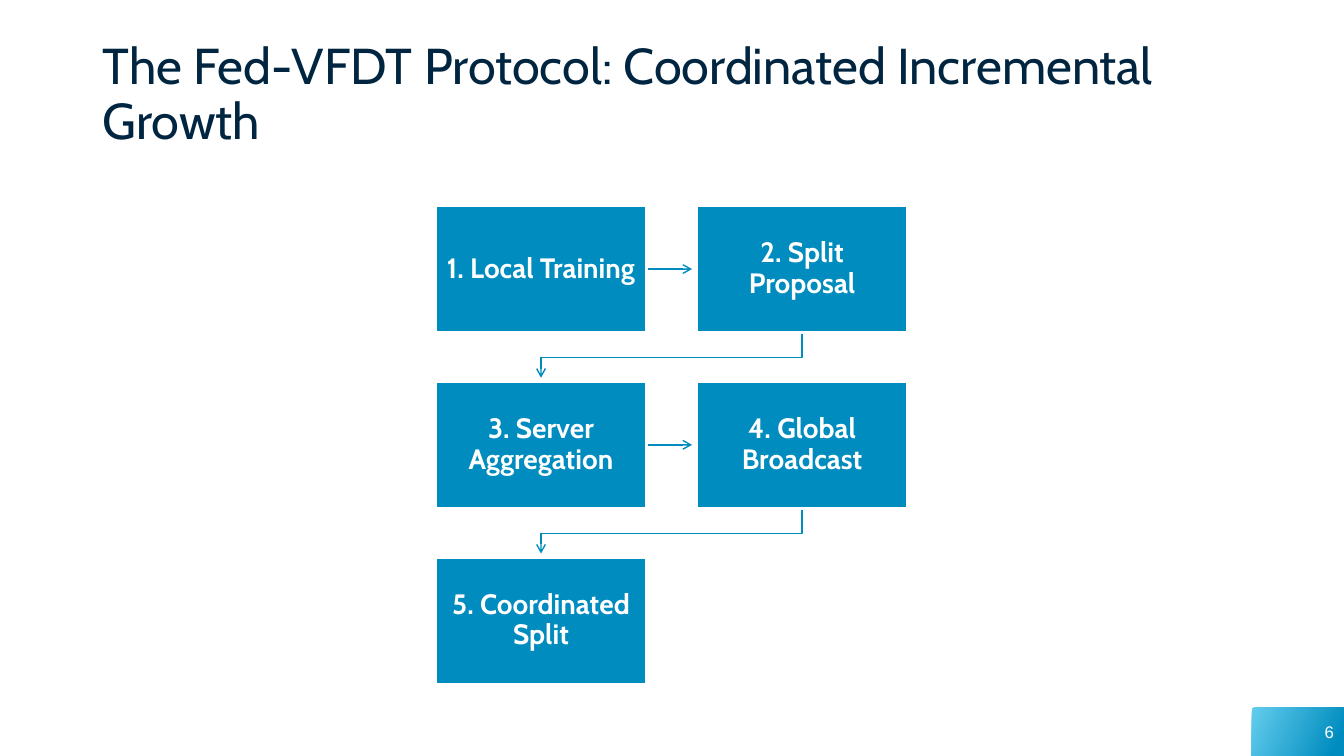
"""Build the slide on the five steps of the Fed-VFDT protocol."""
from pptx import Presentation
from pptx.dml.color import RGBColor
from pptx.enum.shapes import MSO_CONNECTOR as Link, MSO_SHAPE as Shape
from pptx.enum.text import MSO_ANCHOR as Anchor, MSO_AUTO_SIZE as Fit, PP_ALIGN as Align
from pptx.oxml.ns import qn
from pptx.util import Cm, Pt
from lxml.etree import SubElement

COLOURS = {"navy": "002540", "blue": "008CBE", "deep": "008CBF", "sky": "64CDED", "white": "FFFFFF"}
STEPS = ["1. Local Training", "2. Split Proposal", "3. Server Aggregation",
         "4. Global Broadcast", "5. Coordinated Split"]
COLUMNS = 2
LEFT, TOP = 10.97, 5.18
WIDTH, HEIGHT = 5.33, 3.2
PITCH_X, PITCH_Y = 6.58, 4.43
ARROW, BEND = 1.14, 0.63


def colour(name):
    return RGBColor.from_string(COLOURS[name])


def write(box, text, frame_format, para_format, font_format, font_colour):
    frame = box.text_frame
    frame.word_wrap = True
    para = frame.paragraphs[0]
    span = para.add_run()
    span.text = text
    for target, values in ((frame, frame_format), (para, para_format), (span.font, font_format)):
        for name, value in values.items():
            setattr(target, name, value)
    span.font.color.rgb = colour(font_colour)


def add_title(page, text):
    title = page.shapes.title
    title.left, title.top, title.width, title.height = Cm(2.33), Cm(0.91), Cm(29.21), Cm(3.68)
    write(title, text, {"vertical_anchor": Anchor.TOP, "auto_size": Fit.NONE},
          {"alignment": Align.LEFT, "line_spacing": 0.9},
          {"size": Pt(36), "name": "Cabin"}, "navy")


def add_page_number(page, number):
    box = page.shapes.add_shape(Shape.RECTANGLE, Cm(31.54), Cm(17.83), Cm(2.33), Cm(1.22))
    box.shadow.inherit = False
    box.line.fill.background()
    box.fill.gradient()
    box.fill.gradient_angle = 335
    for stop, (position, name) in zip(box.fill.gradient_stops, ((0, "sky"), (0.9, "deep"))):
        stop.position = position
        stop.color.rgb = colour(name)
    write(box, number, {"vertical_anchor": Anchor.MIDDLE}, {"alignment": Align.RIGHT},
          {"size": Pt(12), "name": "Arial"}, "white")


def style_arrow(arrow):
    arrow.line.color.rgb = colour("blue")
    arrow.line.width = Pt(1)
    properties = arrow.element.spPr
    SubElement(properties.find(qn("a:ln")), qn("a:tailEnd"), type="arrow")
    SubElement(properties, qn("a:effectLst"))


def add_arrow_across(page, left, top):
    middle = Cm(top + HEIGHT / 2)
    start = left + WIDTH
    style_arrow(page.shapes.add_connector(Link.STRAIGHT, Cm(start), middle, Cm(start + ARROW), middle))


def add_arrow_to_next_row(page, left, top):
    start, bottom = left + WIDTH / 2, top + HEIGHT
    end = LEFT + WIDTH / 2
    corners = [(start, bottom + BEND), (end, bottom + BEND), (end, bottom + ARROW)]
    builder = page.shapes.build_freeform(Cm(start), Cm(bottom))
    builder.add_line_segments([(Cm(x), Cm(y)) for x, y in corners], close=False)
    arrow = builder.convert_to_shape()
    arrow.fill.background()
    style_arrow(arrow)


def add_step(page, text, left, top):
    box = page.shapes.add_shape(Shape.RECTANGLE, Cm(left), Cm(top), Cm(WIDTH), Cm(HEIGHT))
    box.shadow.inherit = False
    box.fill.solid()
    box.fill.fore_color.rgb = colour("blue")
    box.line.color.rgb = colour("white")
    box.line.width = Pt(2)
    write(box, text,
          {"vertical_anchor": Anchor.MIDDLE, "margin_left": Cm(0.25), "margin_right": Cm(0.25),
           "margin_top": Cm(0.28), "margin_bottom": Cm(0.28)},
          {"alignment": Align.CENTER, "line_spacing": 0.9},
          {"size": Pt(20), "name": "Cabin", "bold": True}, "white")


def main():
    deck = Presentation()
    deck.slide_width, deck.slide_height = Cm(33.87), Cm(19.05)
    page = deck.slides.add_slide(deck.slide_layouts[5])
    add_title(page, "The Fed-VFDT Protocol: Coordinated Incremental Growth")
    add_page_number(page, "6")
    for index, text in enumerate(STEPS):
        row, column = divmod(index, COLUMNS)
        left, top = LEFT + column * PITCH_X, TOP + row * PITCH_Y
        if index < len(STEPS) - 1:
            add_arrow = add_arrow_across if column < COLUMNS - 1 else add_arrow_to_next_row
            add_arrow(page, left, top)
        add_step(page, text, left, top)
    deck.save("out.pptx")


if __name__ == "__main__":
    main()
